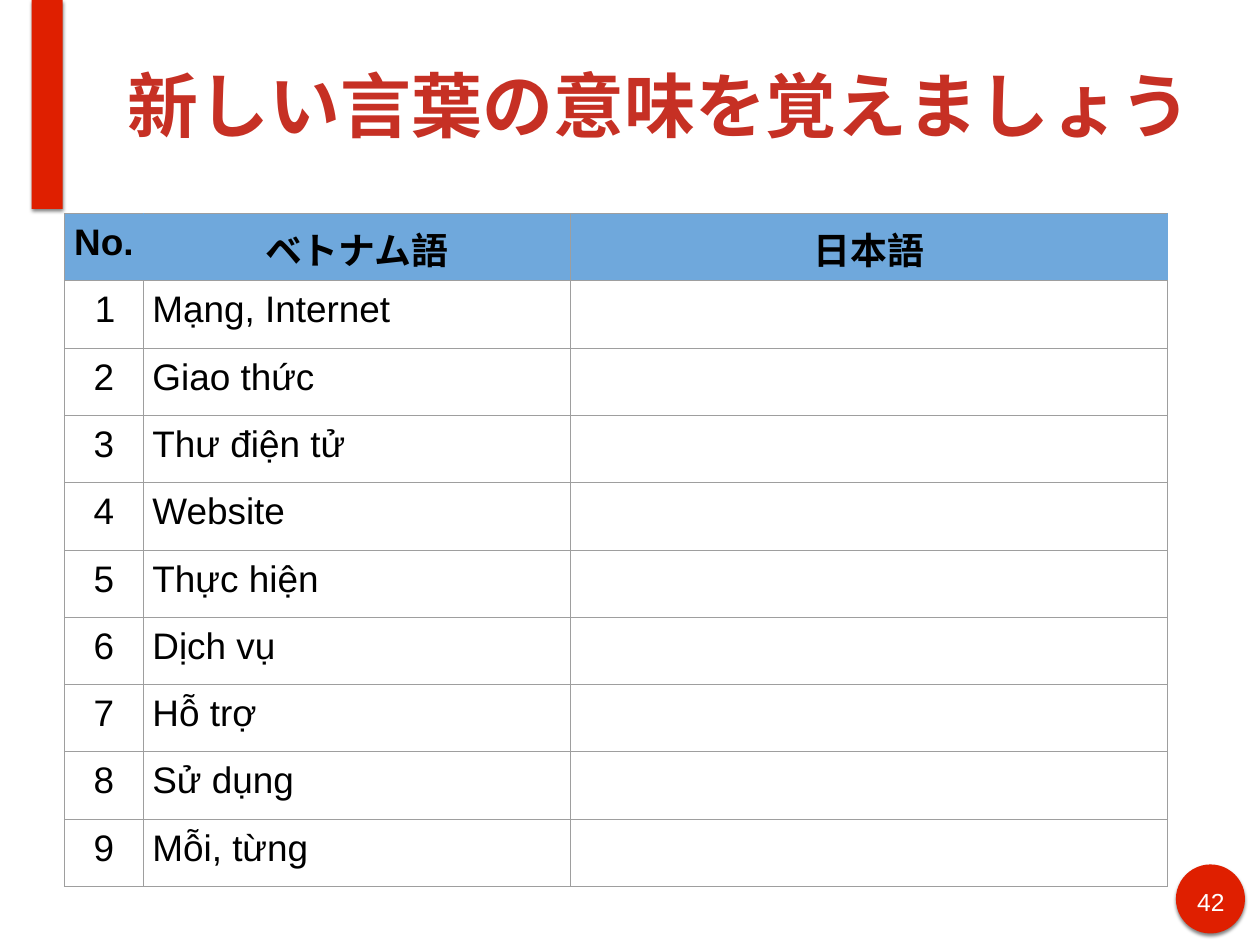
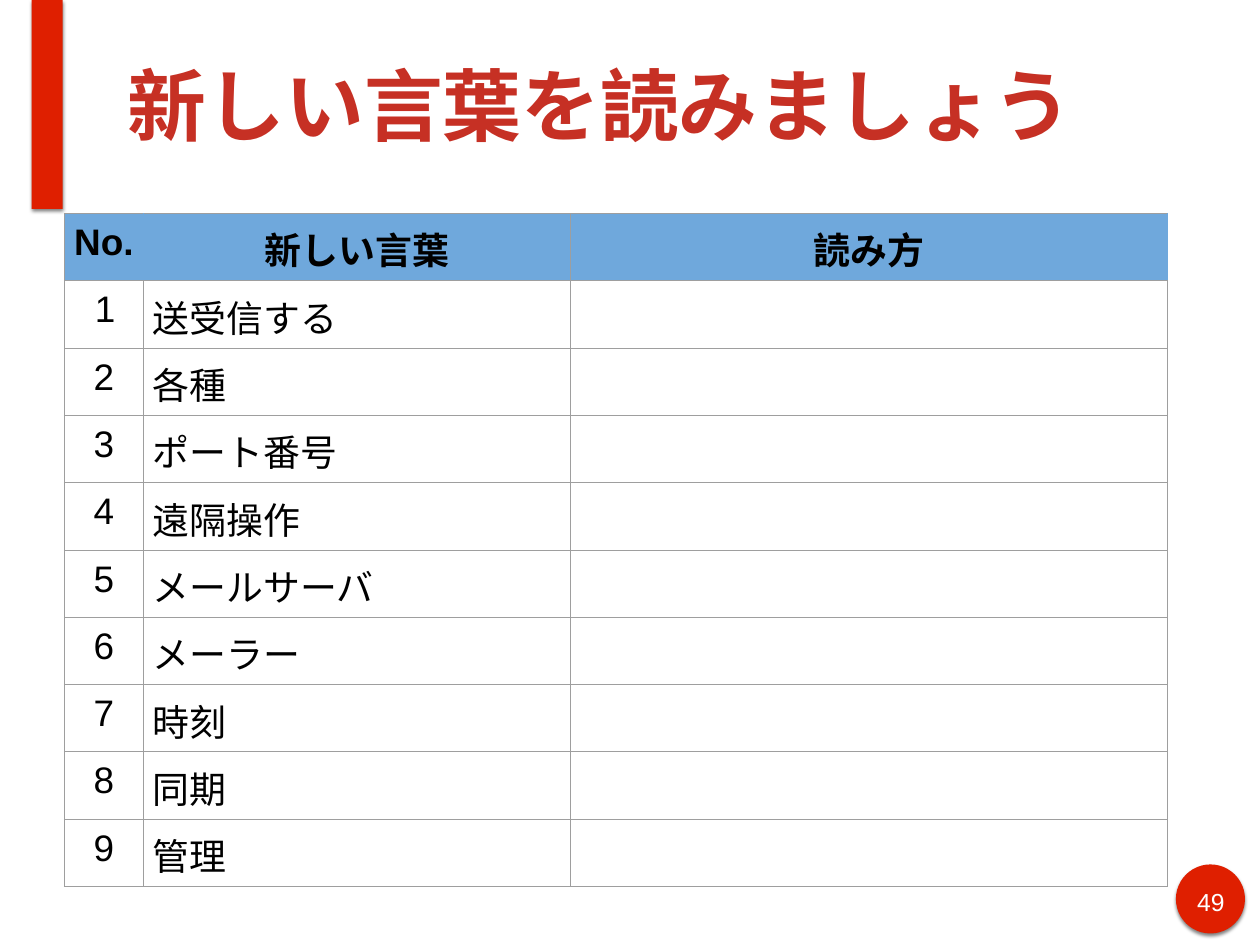
"""Builds two vocabulary slides, each with a title and a word table to fill in."""
import pptx
import pptx.dml.color
import pptx.enum.shapes
import pptx.enum.text
import pptx.oxml
import pptx.oxml.ns
import pptx.util

Cm = pptx.util.Cm
Pt = pptx.util.Pt
SHAPE = pptx.enum.shapes.MSO_SHAPE
ALIGN = pptx.enum.text.PP_ALIGN
ANCHOR = pptx.enum.text.MSO_ANCHOR

NS = pptx.oxml.ns.nsdecls("a")
FONT = "Arial"
RED, TITLE_RED, BLUE, GREY = "DF1F00", "C63024", "6FA8DC", "9E9E9E"
BLACK, WHITE = "000000", "FFFFFF"
COL_WIDTHS = [2.28, 12.22, 17.12]
ROW_HEIGHT = 1.93
SHADOW = (f'<a:outerShdw {NS} blurRad="{Pt(3)}" dist="{Pt(2)}" dir="5400000" rotWithShape="0">'
          f'<a:srgbClr val="{BLACK}"><a:alpha val="50000"/></a:srgbClr></a:outerShdw>')

SLIDES = [
    ("新しい言葉の意味を覚えましょう", 57.6, "42", ["No.", "ベトナム語", "日本語"],
     ["Mạng, Internet", "Giao thức", "Thư điện tử", "Website", "Thực hiện",
      "Dịch vụ", "Hỗ trợ", "Sử dụng", "Mỗi, từng"]),
    ("新しい言葉を読みましょう", 64, "49", ["No.", "新しい言葉", "読み方"],
     ["送受信する", "各種", "ポート番号", "遠隔操作", "メールサーバ",
      "メーラー", "時刻", "同期", "管理"]),
]


def rgb(value):
    return pptx.dml.color.RGBColor.from_string(value)


def write(tf, text, size, color, bold=False, align=ALIGN.LEFT, east_asian=False):
    tf.text = text
    p = tf.paragraphs[0]
    p.alignment = align
    for r in p.runs:
        r.font.name = FONT
        r.font.size = Pt(size)
        r.font.bold = bold
        r.font.color.rgb = rgb(color)
        if east_asian:
            r.font._element.append(pptx.oxml.parse_xml(f'<a:ea {NS} typeface="{FONT}"/>'))


prs = pptx.Presentation()
prs.slide_width, prs.slide_height = Cm(36.12), Cm(27.1)

for title, title_size, number, header, words in SLIDES:
    s = prs.slides.add_slide(prs.slide_layouts[6])

    for kind, box in ((SHAPE.OVAL, (33.71, 24.79, 1.98, 1.98)),
                      (SHAPE.RECTANGLE, (0.91, 0, 0.89, 5.99))):
        sp = s.shapes.add_shape(kind, *map(Cm, box))
        sp.fill.solid()
        sp.fill.fore_color.rgb = rgb(RED)
        sp.line.fill.background()
        sp.shadow.inherit = False
        effects = sp._element.spPr.find(pptx.oxml.ns.qn("a:effectLst"))
        effects.append(pptx.oxml.parse_xml(SHADOW))

    for box, anchor, style in (
            ((34.09, 25.27, 1.24, 0.99), ANCHOR.TOP,
             (number, 20, WHITE, False, ALIGN.CENTER)),
            ((3.52, 0.3, 30.84, 5.38), ANCHOR.MIDDLE,
             (title, title_size, TITLE_RED, True, ALIGN.LEFT, True))):
        tf = s.shapes.add_textbox(*map(Cm, box)).text_frame
        tf.word_wrap = True
        tf.vertical_anchor = anchor
        tf.margin_left = tf.margin_right = tf.margin_top = tf.margin_bottom = Cm(0.15)
        write(tf, *style)

    rows = [header] + [[str(i), word, ""] for i, word in enumerate(words, 1)]
    table = s.shapes.add_table(len(rows), len(header), Cm(1.84), Cm(6.12),
                               Cm(sum(COL_WIDTHS)), Cm(ROW_HEIGHT * len(rows))).table
    table.first_row = table.horz_banding = False
    for column, width in zip(table.columns, COL_WIDTHS):
        column.width = Cm(width)
    for i, row in enumerate(rows):
        table.rows[i].height = Cm(ROW_HEIGHT)
        for j, text in enumerate(row):
            cell = table.cell(i, j)
            cell.margin_left = cell.margin_right = Cm(0.25)
            cell.margin_top = cell.margin_bottom = Cm(0.25)
            centred = i == 0 or (j == 0 and i > 1)
            write(cell.text_frame, text, 30, BLACK, i == 0,
                  ALIGN.CENTER if centred else ALIGN.LEFT)
            if i == 0:
                cell.fill.solid()
                cell.fill.fore_color.rgb = rgb(BLUE)
            else:
                cell.fill.background()
            hidden = "RLR"[j] if i == 0 else ""
            tcPr = cell._tc.get_or_add_tcPr()
            for k, side in enumerate("LRTB"):
                color = BLUE if side == hidden else GREY
                tcPr.insert(k, pptx.oxml.parse_xml(
                    f'<a:ln{side} {NS} w="{Pt(0.75)}"><a:solidFill>'
                    f'<a:srgbClr val="{color}"/></a:solidFill></a:ln{side}>'))

    pPr = table.cell(1, 0).text_frame.paragraphs[0]._p.get_or_add_pPr()
    pPr.set("marL", str(Cm(1.27)))
    pPr.set("indent", str(-Cm(0.64)))

prs.save("out.pptx")
